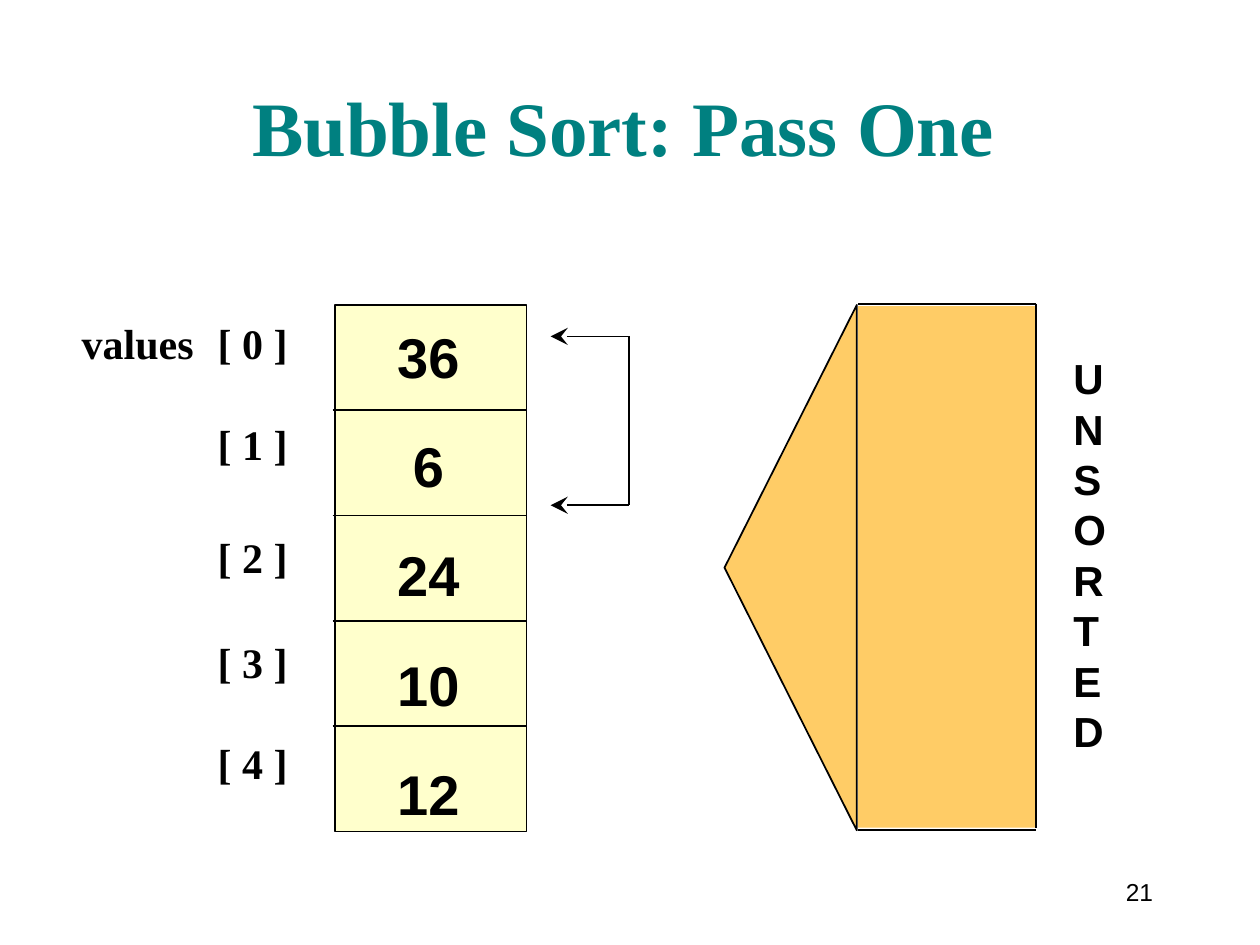
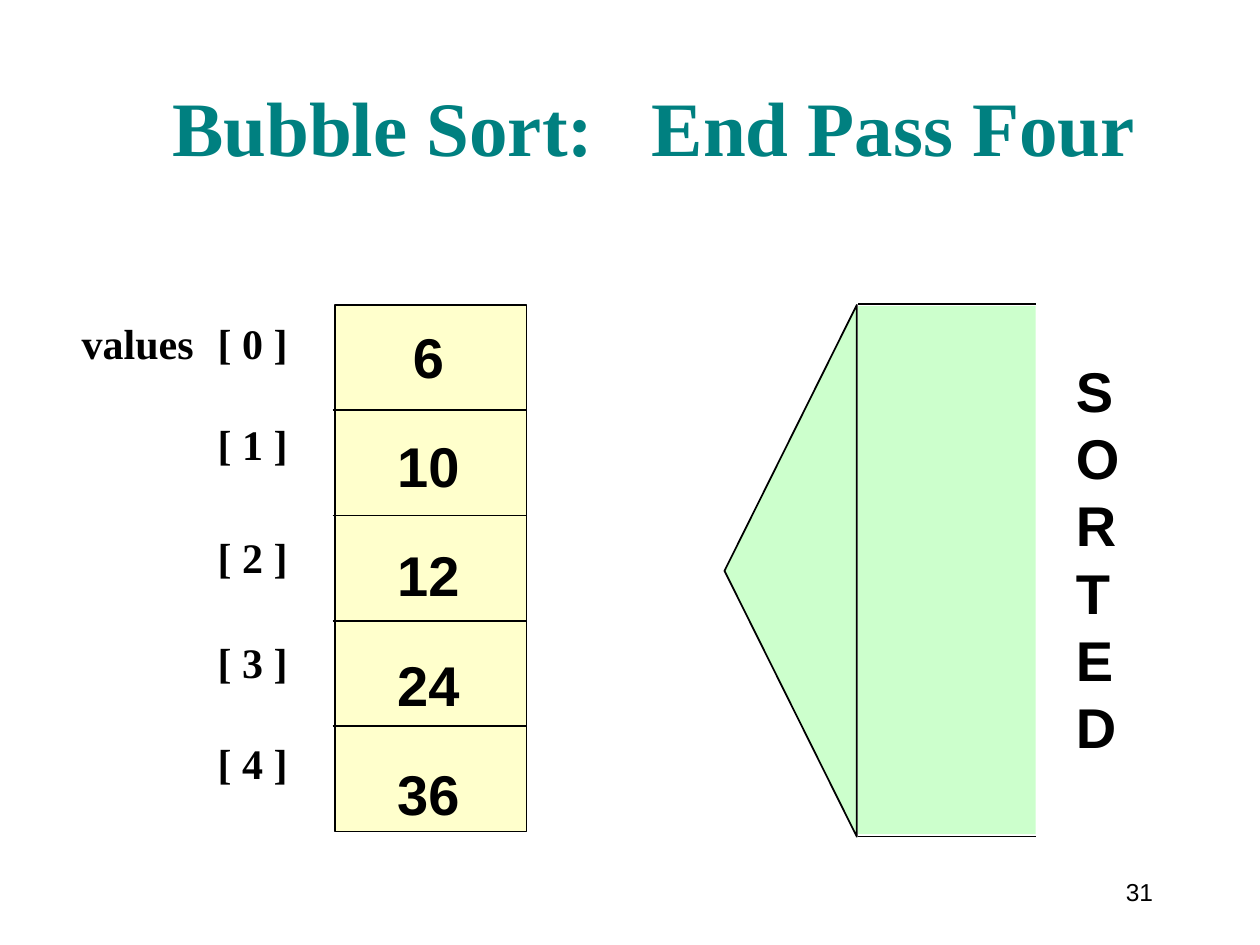
from dataclasses import dataclass
from typing import Optional, Sequence

from lxml.etree import SubElement
from pptx import Presentation
from pptx.dml.color import RGBColor
from pptx.enum.shapes import MSO_CONNECTOR as Connector, MSO_SHAPE as Preset
from pptx.enum.text import MSO_ANCHOR as Anchor, PP_ALIGN as Align
from pptx.oxml.ns import qn
from pptx.util import Inches, Pt

COLOURS = {
    "ink": "000000",
    "title": "008080",
    "cell": "FFFFCC",
    "unsorted": "FFCC66",
    "sorted": "CCFFCC",
}
SERIF, SANS = "Times New Roman", "Arial"

# The slide is a grid of 100 columns by 75 rows
WIDTH, HEIGHT = Inches(10), Inches(7.5)
COLUMNS, ROWS = 100, 75


@dataclass(frozen=True)
class Box:
    left: float
    top: float
    width: float
    height: float

    @property
    def right(self) -> float:
        return self.left + self.width

    @property
    def bottom(self) -> float:
        return self.top + self.height


@dataclass(frozen=True)
class Scene:
    title: str
    title_width: float
    title_gap: int  # extra points after the colon
    page: int
    values: Sequence[int]
    state: str
    arrow_bottom: float
    state_box: Box
    state_size: int
    compared: Optional[tuple[float, float]] = None
    closed: bool = False


ARRAY = Box(26.6, 24.2, 15.2, 41.8)
VALUES = Box(30.5, 25.1, 7, 41)
LABELS = Box(5.5, 17.7, 24.3, 45.3)
PAGE = Box(85.8, 68.3, 6.7, 5)
LABEL_GAPS = (0, 28.8, 36, 31.2, 28.8)  # points before each index
LABEL_TAB = 10.8
VALUE_GAP = 24
ARROW_TIP, ARROW_NECK, ARROW_RIGHT, ARROW_TOP = 57.5, 68.1, 82.2, 24.1
BRACKET_LEFT, BRACKET_RIGHT = 43.7, 49.9

SCENES = (
    Scene("Bubble Sort: Pass One ", 82.9, 0, 21, (36, 6, 24, 10, 12),
          "UNSORTED", 65.9, Box(84.2, 27.5, 4.6, 33), 24,
          compared=(26.7, 40.1), closed=True),
    Scene("Bubble Sort: End Pass Four", 86.2, 22, 31, (6, 10, 12, 24, 36),
          "SORTED", 66.4, Box(84.4, 27.8, 5.5, 33), 32),
)


def column(count: float) -> int:
    return round(WIDTH * count / COLUMNS)


def row(count: float) -> int:
    return round(HEIGHT * count / ROWS)


def place(box: Box) -> tuple[int, int, int, int]:
    return column(box.left), row(box.top), column(box.width), row(box.height)


def colour(name: str) -> RGBColor:
    return RGBColor.from_string(COLOURS[name])


def add_text(slide, text: str, box: Box, *, size: float, font: str = SANS,
             ink: str = "ink", bold: bool = True, align=Align.LEFT,
             anchor=Anchor.TOP, inset_top: float = 0.5,
             gaps: Sequence[float] = (), tab: Optional[float] = None,
             colon_gap: int = 0) -> None:
    """Write one paragraph per line; gaps are the points before each."""
    frame = slide.shapes.add_textbox(*place(box)).text_frame
    frame.word_wrap = True
    frame.vertical_anchor = anchor
    frame.margin_top = row(inset_top)
    for index, line in enumerate(text.split("\n")):
        paragraph = frame.add_paragraph() if index else frame.paragraphs[0]
        paragraph.alignment = align
        if gaps:
            paragraph.space_before = Pt(gaps[index])
        if tab is not None:
            stops = SubElement(paragraph._p.get_or_add_pPr(), qn("a:tabLst"))
            SubElement(stops, qn("a:tab"), pos=str(column(tab)), algn="l")
        parts = [line]
        if colon_gap:
            before, after = line.split(": ")
            parts = [f"{before}:", " ", after]
        for part in parts:
            run = paragraph.add_run()
            run.text = part
            run.font.name, run.font.size, run.font.bold = font, Pt(size), bold
            run.font.color.rgb = colour(ink)
            if part == " ":
                # Letter spacing widens the space after the colon
                run.font._element.set("spc", str(colon_gap * 100))


def add_preset(slide, preset, box: Box, fill: str, outlined: bool = True):
    shape = slide.shapes.add_shape(preset, *place(box))
    shape.shadow.inherit = False
    shape.fill.solid()
    shape.fill.fore_color.rgb = colour(fill)
    if outlined:
        shape.line.color.rgb = colour("ink")
        shape.line.width = Pt(1)
    else:
        shape.line.fill.background()
    return shape


def add_line(slide, x1: float, y1: float, x2: float, y2: float,
             arrow: bool = False) -> None:
    line = slide.shapes.add_connector(
        Connector.STRAIGHT, column(x1), row(y1), column(x2), row(y2))
    line.line.color.rgb = colour("ink")
    line.line.width = Pt(1)
    if arrow:
        SubElement(line.line._get_or_add_ln(), qn("a:headEnd"),
                   type="stealth", w="lg", len="lg")
    SubElement(line._element.spPr, qn("a:effectLst"))


def draw_array(slide, values: Sequence[int]) -> None:
    count = len(values)
    labels = [f"{'' if index else 'values'}\t[ {index} ]"
              for index in range(count)]
    add_text(slide, "\n".join(labels), LABELS, size=24, font=SERIF,
             inset_top=7.5, gaps=LABEL_GAPS, tab=LABEL_TAB)
    add_preset(slide, Preset.RECTANGLE, ARRAY, "cell")
    for index in range(1, count):
        y = ARRAY.top + ARRAY.height * index / count
        add_line(slide, ARRAY.left - 0.2, y, ARRAY.right, y)
    add_text(slide, "\n".join(map(str, values)), VALUES, size=32,
             align=Align.CENTER, gaps=[0] + [VALUE_GAP] * (count - 1))


def draw_arrow(slide, scene: Scene) -> None:
    """Draw the block arrow that marks the sorted or unsorted range."""
    fill = scene.state.lower()
    bottom = scene.arrow_bottom
    # The head is a triangle turned a quarter to the left
    length, depth = bottom - ARROW_TOP - 0.1, ARROW_NECK - ARROW_TIP - 0.1
    middle_x = ARROW_TIP + depth / 2
    middle_y = ARROW_TOP + 0.1 + length / 2
    head = add_preset(slide, Preset.ISOSCELES_TRIANGLE,
                      Box(middle_x - length / 2, middle_y - depth / 2,
                          length, depth), fill)
    head.rotation = 270
    body = Box(ARROW_NECK, ARROW_TOP + 0.2, ARROW_RIGHT - ARROW_NECK,
               bottom - ARROW_TOP - 0.4)
    add_preset(slide, Preset.RECTANGLE, body, fill, outlined=False)
    for y in (ARROW_TOP, bottom):
        add_line(slide, ARROW_NECK, y, ARROW_RIGHT, y)
    if scene.closed:
        add_line(slide, ARROW_RIGHT, ARROW_TOP, ARROW_RIGHT, body.bottom)
    add_text(slide, "\n".join(scene.state), scene.state_box,
             size=scene.state_size)


def draw_bracket(slide, top: float, bottom: float) -> None:
    """Join the two compared cells."""
    add_line(slide, BRACKET_RIGHT, top, BRACKET_RIGHT, bottom)
    for y in (top, bottom):
        add_line(slide, BRACKET_LEFT, y, BRACKET_RIGHT, y, arrow=True)


def draw_scene(presentation, scene: Scene) -> None:
    slide = presentation.slides.add_slide(presentation.slide_layouts[6])
    add_text(slide, str(scene.page), PAGE, size=14, bold=False,
             align=Align.RIGHT, anchor=Anchor.MIDDLE)
    add_text(slide, scene.title, Box(8.8, 1.6, scene.title_width, 12.5),
             size=44, font=SERIF, ink="title", align=Align.CENTER,
             anchor=Anchor.BOTTOM, colon_gap=scene.title_gap)
    draw_array(slide, scene.values)
    draw_arrow(slide, scene)
    if scene.compared:
        draw_bracket(slide, *scene.compared)


def main() -> None:
    presentation = Presentation()
    presentation.slide_width, presentation.slide_height = WIDTH, HEIGHT
    for scene in SCENES:
        draw_scene(presentation, scene)
    presentation.save("out.pptx")


if __name__ == "__main__":
    main()
